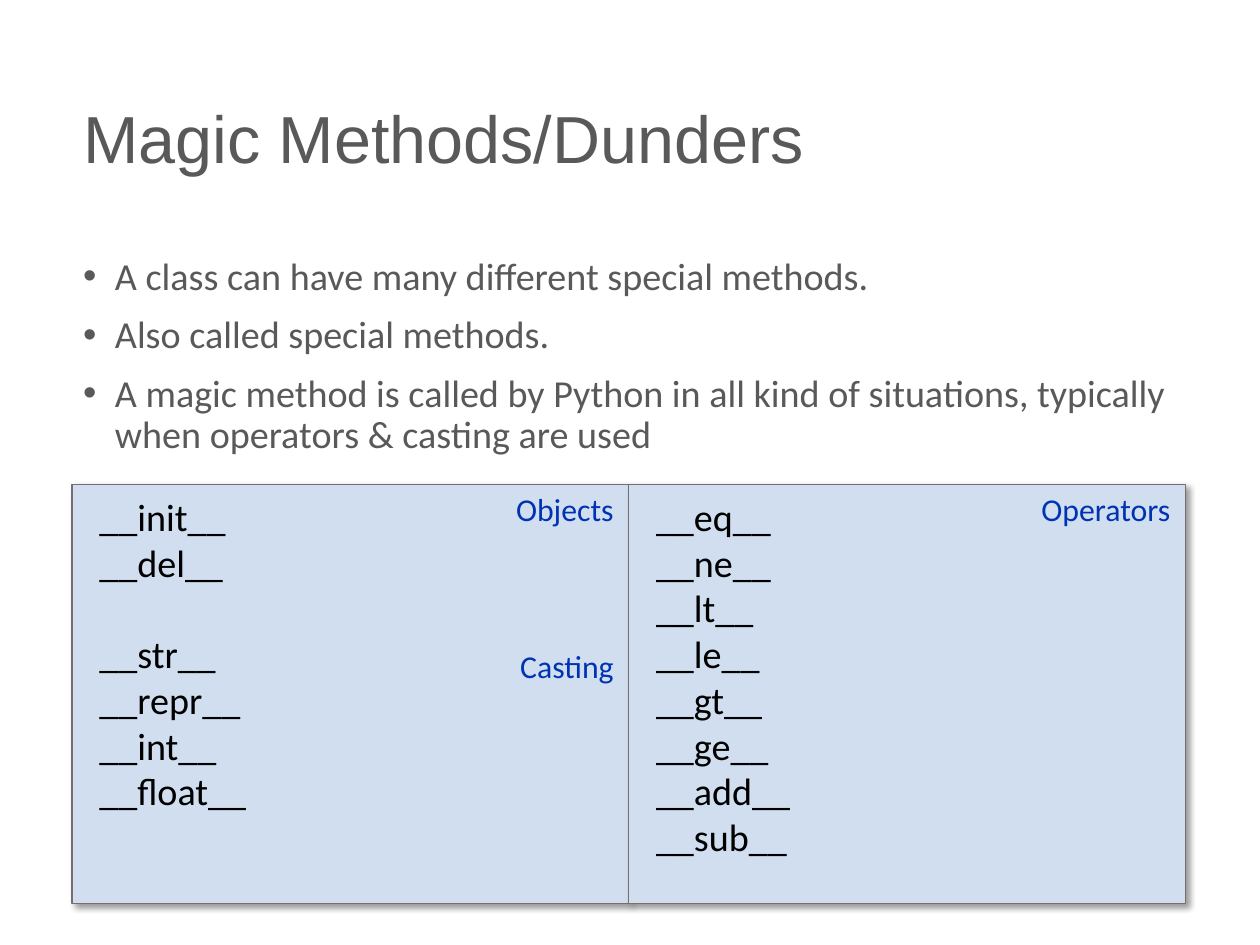
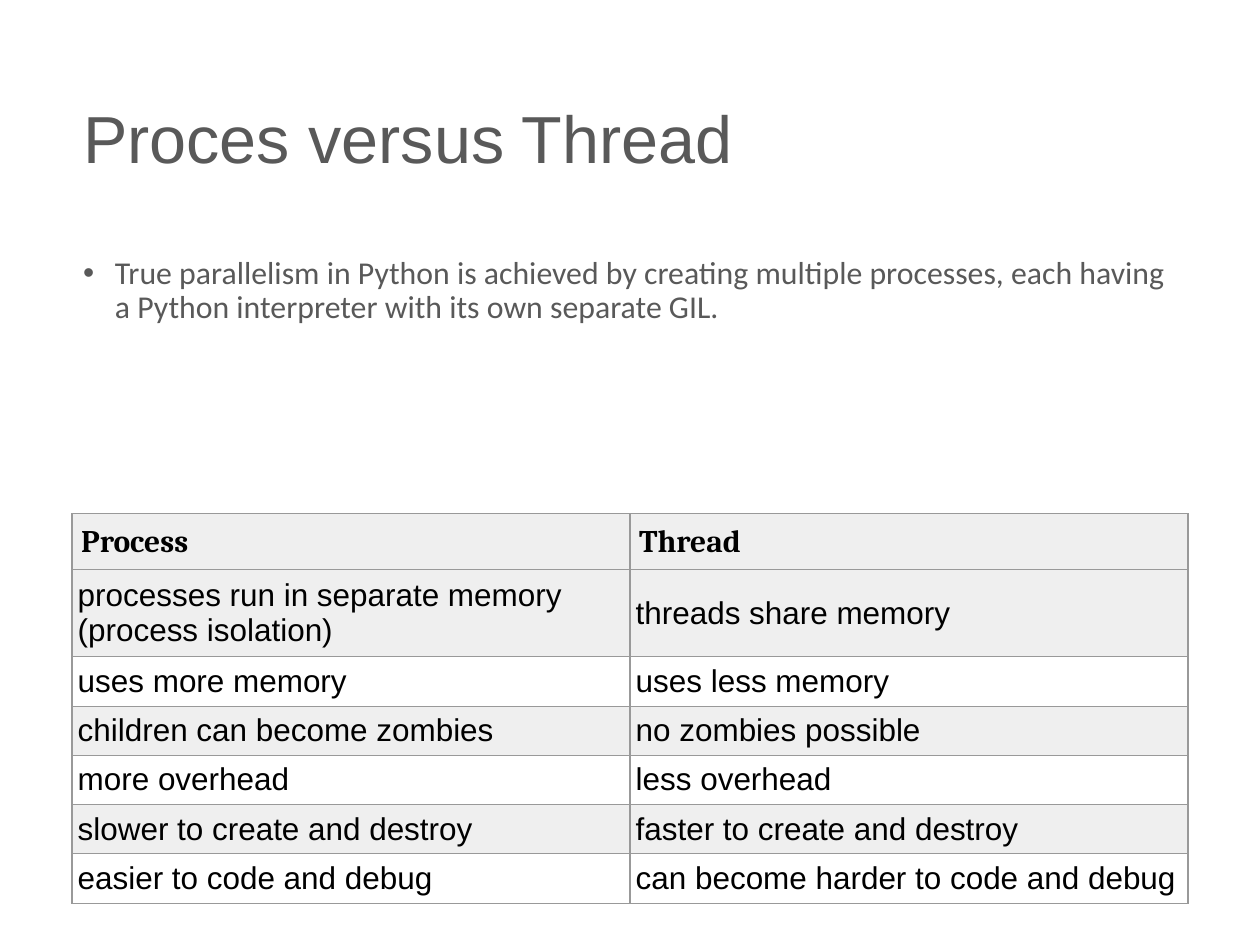
import pptx
import pptx.dml.color
import pptx.enum.shapes
import pptx.enum.text
import pptx.oxml
import pptx.oxml.ns
import pptx.util
from lxml import etree

Pt = pptx.util.Pt
ALIGN = pptx.enum.text.PP_ALIGN
ANCHOR = pptx.enum.text.MSO_ANCHOR

COLORS = {
    "grey": "595959", "black": "000000", "label": "0033B3", "panel": "D0DEEF",
    "panel_line": "757070", "band": "EFEFEF", "border": "999999",
}
SLIDE_W, SLIDE_H = 793.7, 595.28
LEFT, WIDTH = 45.36, 702.72

MAGIC_TITLE = "Magic Methods/Dunders"
MAGIC_BULLETS = [
    "A class can have many different special methods.",
    "Also called special methods.",
    "A magic method is called by Python in all kind of situations, "
    "typically when operators & casting are used",
]
# Each panel: distance from its right edge to the label, then (label, methods) groups
PANELS = [
    (5.76, [("Objects", ["__init__", "__del__"]),
            ("Casting", ["__str__", "__repr__", "__int__", "__float__"])]),
    (5.76, [("Operators", ["__eq__", "__ne__", "__lt__", "__le__",
                           "__gt__", "__ge__", "__add__", "__sub__"])]),
]
PANEL_TOP, PANEL_W, PANEL_H = 305, 350.64, 264.24
LABEL_TOPS = [PANEL_TOP, 403.6]
LABEL_W, LABEL_H = 216, 31.68
METHOD_LINE = 28.8

THREAD_TITLE = "Proces versus Thread"
THREAD_BULLETS = [
    "True parallelism in Python is achieved by creating multiple processes, "
    "each having a Python interpreter with its own separate GIL.",
]
COMPARISON = [
    ("Process", "Thread"),
    ("processes run in separate memory (process isolation)", "threads share memory"),
    ("uses more memory", "uses less memory"),
    ("children can become zombies", "no zombies possible"),
    ("more overhead", "less overhead"),
    ("slower to create and destroy", "faster to create and destroy"),
    ("easier to code and debug", "can become harder to code and debug"),
]
TABLE_TOP, TABLE_W, TABLE_H = 323.7, 703, 247.68
MIN_ROW_H = 20.16


def rgb(name):
    return pptx.dml.color.RGBColor.from_string(COLORS[name])


def sub(parent, tag, **attrs):
    return etree.SubElement(parent, pptx.oxml.ns.qn(tag), attrs)


def set_margins(target, left, top, right, bottom):
    target.margin_left, target.margin_top = Pt(left), Pt(top)
    target.margin_right, target.margin_bottom = Pt(right), Pt(bottom)


def style(p, size, color, font="Calibri", bold=False):
    for r in p.runs:
        r.font.name, r.font.size, r.font.bold = font, Pt(size), bold
        r.font.color.rgb = rgb(color)


def add_text(slide, box, lines, size, color, font="Calibri", margins=(7.2, 3.6, 7.2, 3.6)):
    tf = slide.shapes.add_textbox(*map(Pt, box)).text_frame
    tf.word_wrap = True
    set_margins(tf, *margins)
    tf.text = "\n".join(lines)
    for p in tf.paragraphs:
        style(p, size, color, font)
    return tf


def add_titled_slide(prs, title, bullets, size):
    slide = prs.slides.add_slide(prs.slide_layouts[6])
    tf = add_text(slide, (LEFT, 31.68, WIDTH, 115.2), [title], 41.9, "grey", "Arial")
    tf.vertical_anchor = ANCHOR.MIDDLE
    tf.paragraphs[0].line_spacing = 0.9
    tf = add_text(slide, (LEFT, 158.4, WIDTH, 428.4), bullets, size, "grey")
    for i, p in enumerate(tf.paragraphs):
        pPr = p._p.get_or_add_pPr()
        pPr.set("marL", str(Pt(20)))
        pPr.set("indent", str(-Pt(20)))
        sub(sub(pPr, "a:buClr"), "a:srgbClr", val=COLORS["grey"])
        sub(pPr, "a:buFont", typeface="Arial")
        sub(pPr, "a:buChar", char="•")
        p.line_spacing = 0.9
        if i:
            p.space_before = Pt(11)
    return slide


def add_shadow(sp):
    sp.shadow.inherit = False
    effects = sp._element.spPr.find(pptx.oxml.ns.qn("a:effectLst"))
    shadow = sub(effects, "a:outerShdw", blurRad=str(Pt(4)), dist=str(Pt(3)),
                 dir=str(45 * 60000), algn="tl", rotWithShape="0")
    sub(sub(shadow, "a:srgbClr", val=COLORS["black"]), "a:alpha", val="40000")


def add_panel(slide, left, groups):
    sp = slide.shapes.add_shape(pptx.enum.shapes.MSO_SHAPE.RECTANGLE,
                                Pt(left), Pt(PANEL_TOP), Pt(PANEL_W), Pt(PANEL_H))
    sp.fill.solid()
    sp.fill.fore_color.rgb = rgb("panel")
    sp.line.color.rgb = rgb("panel_line")
    sp.line.width = Pt(0.75)
    add_shadow(sp)
    tf = sp.text_frame
    tf.word_wrap = True
    tf.vertical_anchor = ANCHOR.TOP
    set_margins(tf, 17.28, 5.76, 7.2, 3.6)
    tf.text = "\n".join(m for _, methods in groups for m in methods)
    group_starts = {methods[0] for _, methods in groups[1:]}
    for p in tf.paragraphs:
        p.alignment = ALIGN.LEFT
        if p.text in group_starts:
            p.space_before = Pt(METHOD_LINE)
        style(p, 24, "black")


def add_comparison(slide):
    columns = len(COMPARISON[0])
    frame = slide.shapes.add_table(len(COMPARISON), columns, Pt(LEFT), Pt(TABLE_TOP),
                                   Pt(TABLE_W), Pt(TABLE_H))
    table = frame.table
    table.first_row = table.horz_banding = False
    for column in table.columns:
        column.width = Pt(TABLE_W / columns)
    for i, texts in enumerate(COMPARISON):
        table.rows[i].height = Pt(MIN_ROW_H)
        header = i == 0
        for j, text in enumerate(texts):
            cell = table.cell(i, j)
            tcPr = cell._tc.get_or_add_tcPr()
            for side in ("a:lnL", "a:lnR", "a:lnT", "a:lnB"):
                ln = sub(tcPr, side, w=str(Pt(0.75)))
                sub(sub(ln, "a:solidFill"), "a:srgbClr", val=COLORS["border"])
            if header or i % 2:
                cell.fill.solid()
                cell.fill.fore_color.rgb = rgb("band")
            else:
                cell.fill.background()
            cell.vertical_anchor = ANCHOR.MIDDLE
            set_margins(cell, *[5.76 if header else 3.6] * 4)
            cell.text_frame.text = text
            style(cell.text_frame.paragraphs[0], 19.8, "black",
                  "Cambria" if header else "Arial", header)
    frame.height = Pt(TABLE_H)


def main():
    prs = pptx.Presentation()
    prs.slide_width, prs.slide_height = Pt(SLIDE_W), Pt(SLIDE_H)

    slide = add_titled_slide(prs, MAGIC_TITLE, MAGIC_BULLETS, 24)
    for i, (_, groups) in enumerate(PANELS):
        add_panel(slide, LEFT + i * PANEL_W, groups)
    for i, (inset, groups) in enumerate(PANELS):
        label_left = LEFT + (i + 1) * PANEL_W - inset - LABEL_W
        for top, (label, _) in zip(LABEL_TOPS, groups):
            tf = add_text(slide, (label_left, top, LABEL_W, LABEL_H), [label], 20, "label",
                          margins=[3.6] * 4)
            tf.paragraphs[0].alignment = ALIGN.RIGHT

    slide = add_titled_slide(prs, THREAD_TITLE, THREAD_BULLETS, 20)
    add_comparison(slide)
    prs.save("out.pptx")


if __name__ == "__main__":
    main()
